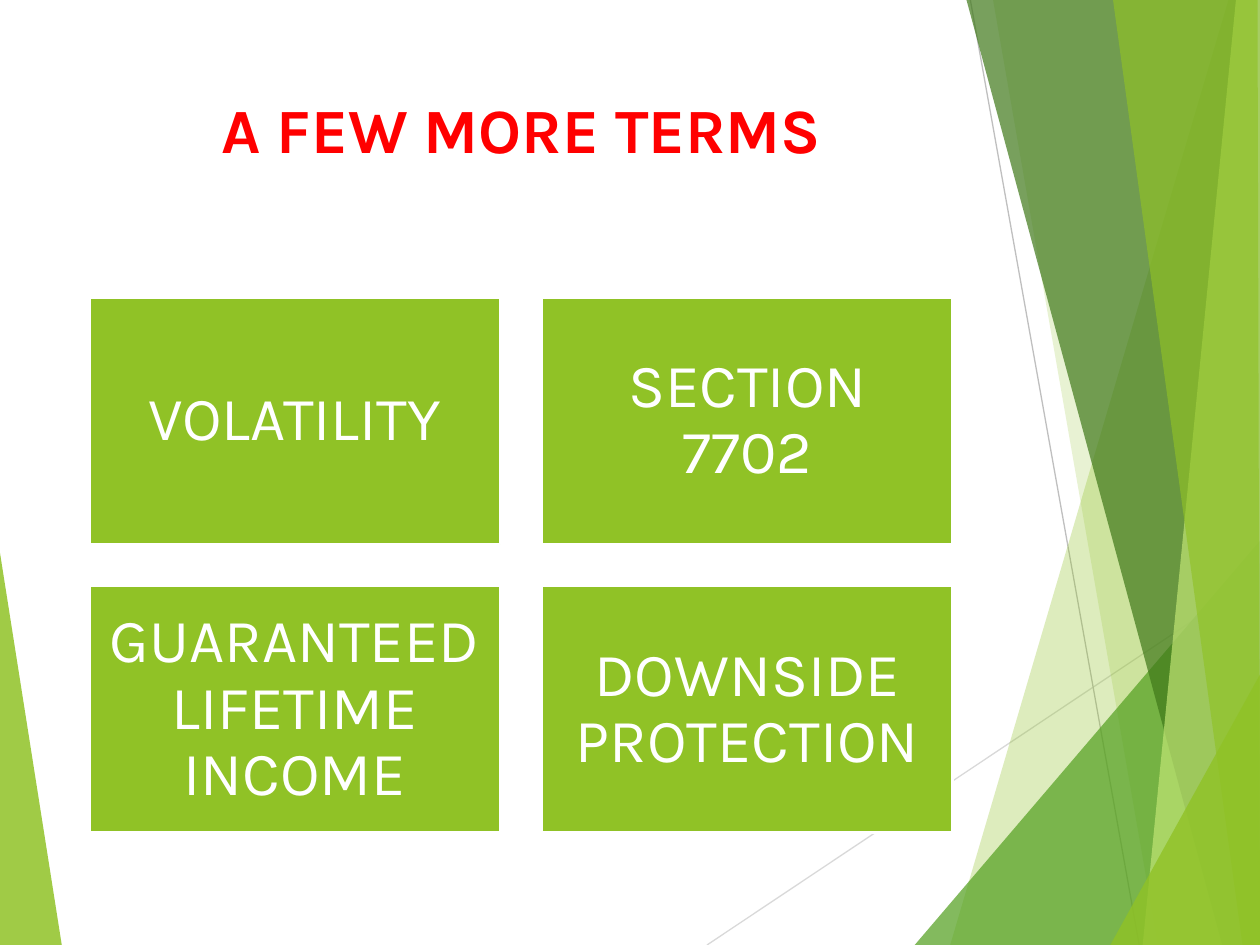
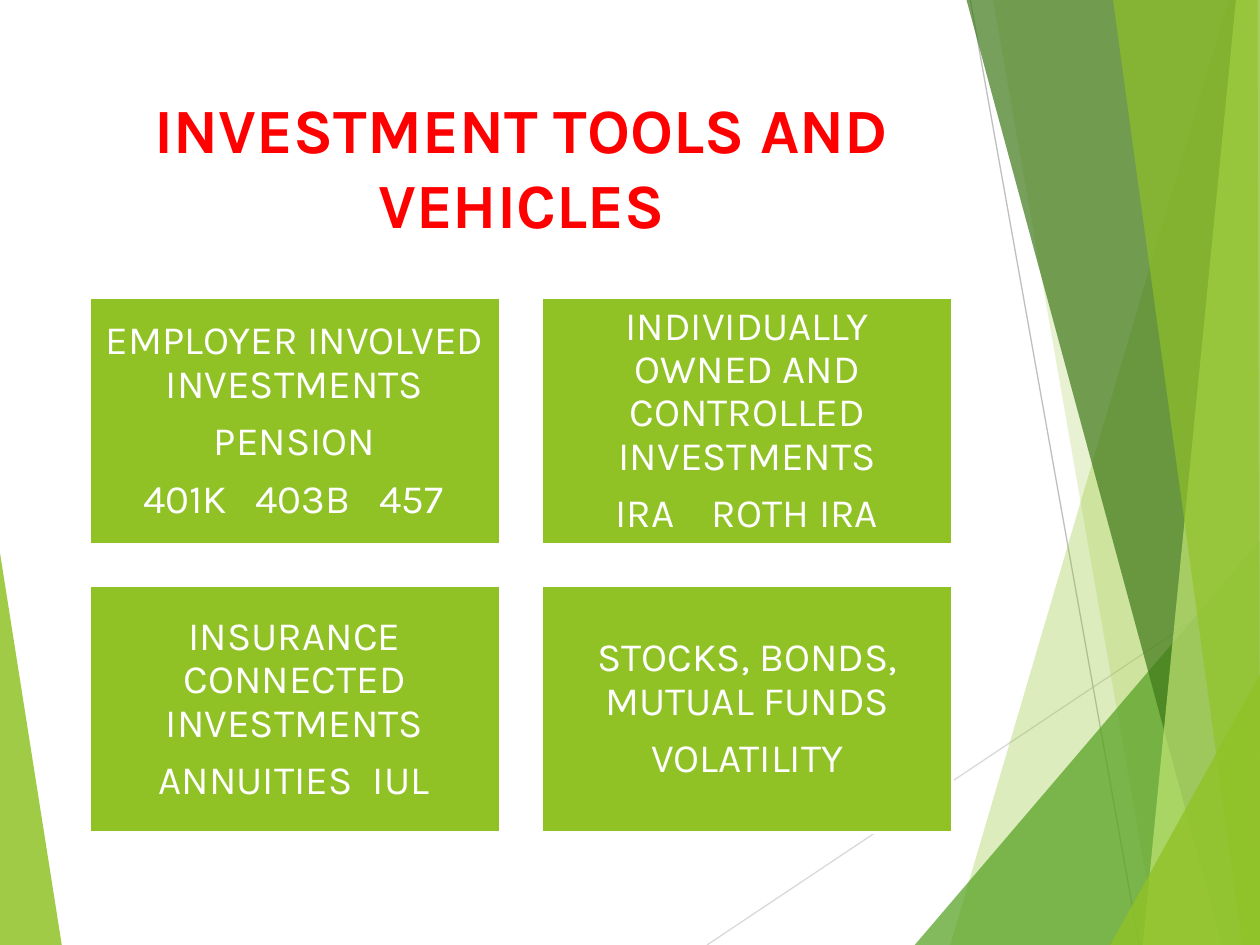
from dataclasses import dataclass

from lxml import etree
from pptx import Presentation
from pptx.dml.color import RGBColor
from pptx.enum.shapes import MSO_CONNECTOR, MSO_SHAPE
from pptx.enum.text import MSO_ANCHOR, MSO_AUTO_SIZE, PP_ALIGN
from pptx.oxml.ns import qn
from pptx.slide import Slide
from pptx.text.text import _Paragraph
from pptx.util import Pt

RECTANGLE = MSO_SHAPE.RECTANGLE
STRAIGHT = MSO_CONNECTOR.STRAIGHT
TOP, MIDDLE = MSO_ANCHOR.TOP, MSO_ANCHOR.MIDDLE
NO_FIT = MSO_AUTO_SIZE.NONE
CENTER, LEFT = PP_ALIGN.CENTER, PP_ALIGN.LEFT

LIME, WHITE, RED = "90C226", "FFFFFF", "FF0000"
FONT = "Karla"
WIDTH, HEIGHT = 720, 540
CARD_WIDTH, CARD_HEIGHT = 234.7, 140.8
CARD_LEFT, CARD_TOP = 51.1, 170.1
CARD_GAP = 24


@dataclass(frozen=True)
class Band:
    points: tuple[tuple[float, float], ...]
    color: str
    opacity: int


@dataclass(frozen=True)
class Ray:
    start: tuple[float, float]
    end: tuple[float, float]
    color: str


@dataclass(frozen=True)
class Line:
    text: str
    tab_centers: tuple[float, ...] = ()


@dataclass(frozen=True)
class Topic:
    title: str
    cards: tuple[tuple[Line, ...], ...]
    size: float
    inset: float


BACKDROP = (
    Band(((0, 316), (35.3, HEIGHT), (0, HEIGHT)), LIME, 85),
    Ray((404, HEIGHT), (WIDTH, 329), "D9D9D9"),
    Ray((554.5, 0), (651, HEIGHT), "BFBFBF"),
    Band(((702, 0), (543, HEIGHT), (WIDTH, HEIGHT), (WIDTH, 0)), LIME, 30),
    Band(((567.5, 0), (661.7, HEIGHT), (WIDTH, HEIGHT), (WIDTH, 0)), LIME, 20),
    Band(((522.7, HEIGHT), (WIDTH, 309), (WIDTH, HEIGHT)), "54A021", 72),
    Band(((552.3, 0), (698.4, HEIGHT), (WIDTH, HEIGHT), (WIDTH, 0)), "3F7819", 70),
    Band(((706.3, 0), (653, HEIGHT), (WIDTH, HEIGHT), (WIDTH, 0)), "C0E474", 70),
    Band(((636, 0), (710, HEIGHT), (WIDTH, HEIGHT), (718.6, 0)), LIME, 65),
    Band(((634.5, HEIGHT), (WIDTH, 385.5), (WIDTH, HEIGHT)), LIME, 80),
)

TOPICS = (
    Topic(
        "A FEW MORE TERMS",
        (
            (Line("VOLATILITY"),),
            (Line("SECTION 7702"),),
            (Line("GUARANTEED LIFETIME INCOME"),),
            (Line("DOWNSIDE PROTECTION"),),
        ),
        size=35,
        inset=10.8,
    ),
    Topic(
        "INVESTMENT TOOLS AND VEHICLES",
        (
            (
                Line("EMPLOYER INVOLVED INVESTMENTS"),
                Line("PENSION"),
                Line("\t401K\t403B\t457", (47.7, 115, 177)),
            ),
            (
                Line("INDIVIDUALLY OWNED AND CONTROLLED INVESTMENTS"),
                Line("\tIRA\tROTH IRA", (51.8, 137.5)),
            ),
            (
                Line("INSURANCE CONNECTED INVESTMENTS"),
                Line("\tANNUITIES\tIUL", (88, 171)),
            ),
            (Line("STOCKS, BONDS, MUTUAL FUNDS"), Line("VOLATILITY")),
        ),
        size=23,
        inset=7.2,
    ),
)


def rgb(color: str) -> RGBColor:
    return RGBColor.from_string(color)


def apply(target: object, values: dict) -> None:
    for name, value in values.items():
        setattr(target, name, value)


def format_font(paragraph: _Paragraph, size: float, color: str, bold: bool) -> None:
    apply(paragraph.font, {"name": FONT, "size": Pt(size), "bold": bold})
    paragraph.font.color.rgb = rgb(color)


def draw_band(slide: Slide, band: Band) -> None:
    start, *rest = [(Pt(x), Pt(y)) for x, y in band.points]
    builder = slide.shapes.build_freeform(*start)
    builder.add_line_segments(rest, close=True)
    facet = builder.convert_to_shape()
    facet.shadow.inherit = False
    facet.fill.solid()
    facet.fill.fore_color.rgb = rgb(band.color)
    facet.line.fill.background()
    tint = facet.element.spPr.find(qn("a:solidFill")).find(qn("a:srgbClr"))
    etree.SubElement(tint, qn("a:alpha")).set("val", str(band.opacity * 1000))


def draw_ray(slide: Slide, ray: Ray) -> None:
    ends = [Pt(value) for value in ray.start + ray.end]
    connector = slide.shapes.add_connector(STRAIGHT, *ends)
    connector.line.color.rgb = rgb(ray.color)
    connector.line.width = Pt(0.75)
    etree.SubElement(connector.element.spPr, qn("a:effectLst"))


def draw_backdrop(slide: Slide) -> None:
    for part in BACKDROP:
        if isinstance(part, Band):
            draw_band(slide, part)
        else:
            draw_ray(slide, part)


def write_title(slide: Slide, text: str) -> None:
    title = slide.shapes.title
    apply(title, {"left": Pt(48), "top": Pt(48), "width": Pt(500), "height": Pt(104)})
    frame = title.text_frame
    frame.text = text
    apply(frame, {"vertical_anchor": TOP, "word_wrap": True, "auto_size": NO_FIT})
    heading = frame.paragraphs[0]
    heading.alignment = CENTER
    format_font(heading, 36, RED, True)


def add_tabs(paragraph: _Paragraph, centers: tuple[float, ...]) -> None:
    properties = paragraph._p.get_or_add_pPr()
    stops = etree.SubElement(properties, qn("a:tabLst"))
    for center in centers:
        stop = etree.SubElement(stops, qn("a:tab"))
        stop.set("pos", str(Pt(center)))
        stop.set("algn", "ctr")


def draw_card(slide: Slide, index: int, lines: tuple[Line, ...], topic: Topic) -> None:
    row, column = divmod(index, 2)
    left = CARD_LEFT + column * (CARD_WIDTH + CARD_GAP)
    top = CARD_TOP + row * (CARD_HEIGHT + CARD_GAP)
    box = [Pt(value) for value in (left, top, CARD_WIDTH, CARD_HEIGHT)]
    card = slide.shapes.add_shape(RECTANGLE, *box)
    card.shadow.inherit = False
    card.fill.solid()
    card.fill.fore_color.rgb = rgb(LIME)
    card.line.color.rgb = rgb(WHITE)
    card.line.width = Pt(1.5)
    frame = card.text_frame
    apply(frame, {"word_wrap": True, "vertical_anchor": MIDDLE})
    sides = ("left", "top", "right", "bottom")
    apply(frame, {f"margin_{side}": Pt(topic.inset) for side in sides})
    for number, line in enumerate(lines):
        paragraph = frame.add_paragraph() if number else frame.paragraphs[0]
        paragraph.line_spacing = 0.9
        if number:
            paragraph.space_before = Pt(8)
        paragraph.alignment = LEFT if line.tab_centers else CENTER
        if line.tab_centers:
            add_tabs(paragraph, line.tab_centers)
        paragraph.add_run().text = line.text
        format_font(paragraph, topic.size, WHITE, False)


def main() -> None:
    deck = Presentation()
    apply(deck, {"slide_width": Pt(WIDTH), "slide_height": Pt(HEIGHT)})
    title_only = deck.slide_layouts.get_by_name("Title Only")
    for topic in TOPICS:
        slide = deck.slides.add_slide(title_only)
        draw_backdrop(slide)
        write_title(slide, topic.title)
        for index, lines in enumerate(topic.cards):
            draw_card(slide, index, lines, topic)
    deck.save("out.pptx")


if __name__ == "__main__":
    main()
